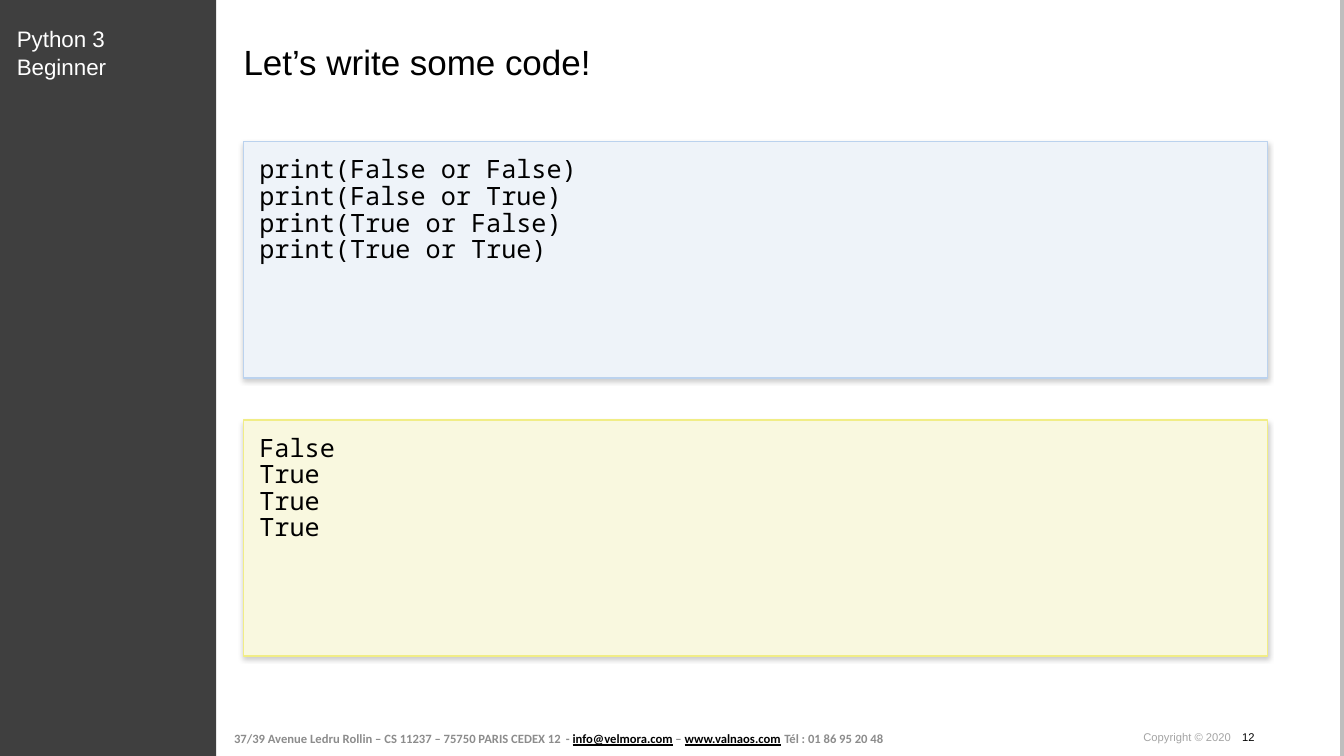
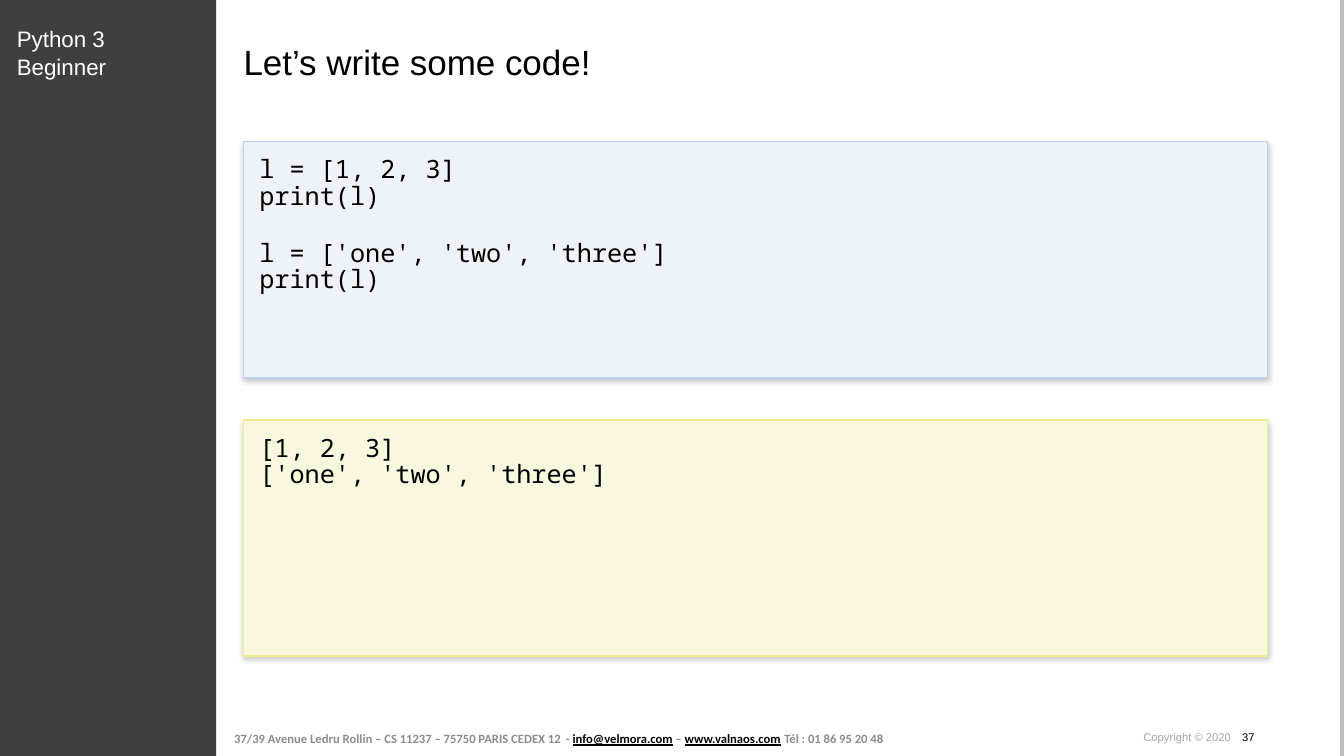
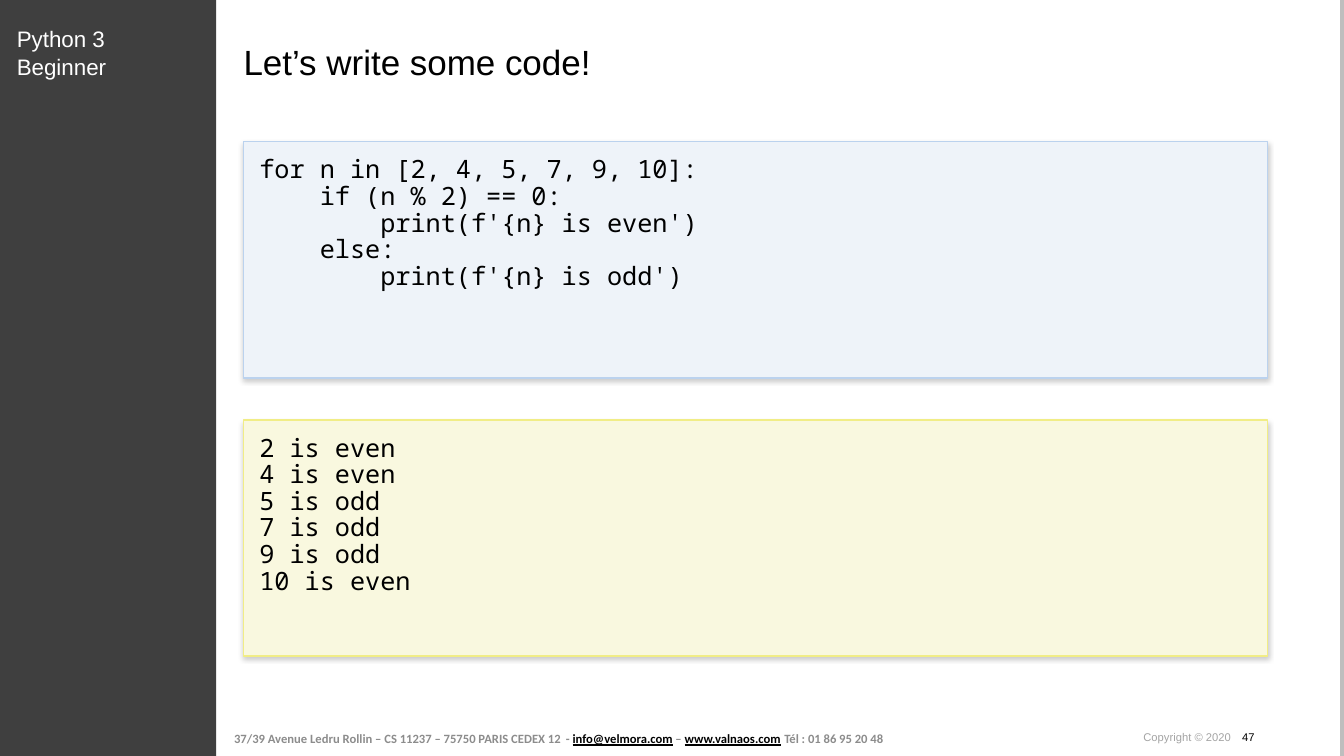
from collections import namedtuple
from dataclasses import dataclass

from lxml import etree
from pptx import Presentation
from pptx.dml.color import RGBColor
from pptx.enum.shapes import MSO_CONNECTOR, MSO_SHAPE
from pptx.enum.text import MSO_ANCHOR
from pptx.oxml.ns import qn
from pptx.util import Pt

RECTANGLE = MSO_SHAPE.RECTANGLE
STRAIGHT = MSO_CONNECTOR.STRAIGHT
TOP, MIDDLE = MSO_ANCHOR.TOP, MSO_ANCHOR.MIDDLE
EMU_PER_PX = 9525
SLIDE_WIDTH, SLIDE_HEIGHT = 1280, 720

Box = namedtuple("Box", "left top width height")


@dataclass(frozen=True)
class Theme:
    ink: str = "000000"
    paper: str = "FFFFFF"
    sidebar: str = "3F3F3F"
    edge: str = "BEBEBE"
    address: str = "8C8C8C"
    copyright: str = "A4A4A4"
    code_fill: str = "EEF3F9"
    code_line: str = "BBD2EE"
    output_fill: str = "F9F8DF"
    output_line: str = "F1ED86"
    body_font: str = "Arial"
    address_font: str = "Calibri"
    code_font: str = "Noto Sans Mono"
    title_size: float = 25
    code_size: float = 18
    course_size: float = 16
    address_size: float = 9
    copyright_size: float = 8
    code_spacing: float = 0.88
    code_gap: float = 21.5
    course_spacing: float = 1.05
    edge_width: float = 3.34
    panel_line_width: float = 1


THEME = Theme()

SIDEBAR = Box(0, 0, 206, SLIDE_HEIGHT)
COURSE = Box(16, 23, 120, 52)
TITLE = Box(232, 39, 966, 40)
CODE = Box(232, 135, 975, 225)
OUTPUT = CODE._replace(top=400)
ADDRESS = Box(216, 688, 641, 31)
COPYRIGHT = Box(1089, 696, 165, 12)
EDGE_X = 1278
PANEL_INSET = 15

EXERCISES = [
    (12,
     """print(False or False)
print(False or True)
print(True or False)
print(True or True)""",
     """False
True
True
True"""),
    (37,
     """l = [1, 2, 3]
print(l)

l = ['one', 'two', 'three']
print(l)""",
     """[1, 2, 3]
['one', 'two', 'three']"""),
    (47,
     """for n in [2, 4, 5, 7, 9, 10]:
    if (n % 2) == 0:
        print(f'{n} is even')
    else:
        print(f'{n} is odd')""",
     """2 is even
4 is even
5 is odd
7 is odd
9 is odd
10 is even"""),
]


def px(*lengths):
    return [length * EMU_PER_PX for length in lengths]


def color(code):
    return RGBColor.from_string(code)


def style(font, name, size, ink, bold=False):
    font.name, font.size, font.bold = name, Pt(size), bold
    font.color.rgb = color(ink)


def set_frame(frame, inset_x=0, inset_y=0, anchor=TOP):
    frame.word_wrap = True
    frame.vertical_anchor = anchor
    frame.margin_left, frame.margin_right = px(inset_x, inset_x)
    frame.margin_top, frame.margin_bottom = px(inset_y, inset_y)


def add_text(slide, box, inset_x=0, inset_y=0, anchor=TOP):
    """Add a text box and return its first paragraph."""
    frame = slide.shapes.add_textbox(*px(*box)).text_frame
    set_frame(frame, inset_x, inset_y, anchor)
    return frame.paragraphs[0]


def add_run(paragraph, text, ink, underline=False):
    run = paragraph.add_run()
    run.text = text
    run.font.color.rgb = color(ink)
    run.font.underline = underline


def set_tabs(paragraph, *positions):
    tabs = etree.SubElement(paragraph._p.get_or_add_pPr(), qn("a:tabLst"))
    for position in px(*positions):
        etree.SubElement(tabs, qn("a:tab"), pos=str(position), algn="l")


def add_soft_shadow(shape):
    effects = shape._element.spPr.find(qn("a:effectLst"))
    shadow = etree.SubElement(effects, qn("a:outerShdw"), blurRad=str(Pt(4)),
                              dist=str(Pt(1)), dir="5400000", rotWithShape="0")
    black = etree.SubElement(shadow, qn("a:srgbClr"), val=THEME.ink)
    etree.SubElement(black, qn("a:alpha"), val="20000")


def add_rectangle(slide, box, fill):
    shape = slide.shapes.add_shape(RECTANGLE, *px(*box))
    shape.shadow.inherit = False
    shape.fill.solid()
    shape.fill.fore_color.rgb = color(fill)
    shape.line.fill.background()
    return shape


def draw_edge(slide, x):
    edge = slide.shapes.add_connector(STRAIGHT, *px(x, 0, x, SLIDE_HEIGHT))
    edge.line.color.rgb = color(THEME.edge)
    edge.line.width = Pt(THEME.edge_width)
    etree.SubElement(edge._element.spPr, qn("a:effectLst"))


def draw_sidebar(slide, box):
    add_rectangle(slide, box, THEME.sidebar)
    course = add_text(slide, COURSE._replace(left=box.left + COURSE.left,
                                             top=box.top + COURSE.top))
    course.text = "Python 3 Beginner"
    course.line_spacing = THEME.course_spacing
    style(course.font, THEME.body_font, THEME.course_size, THEME.paper)


def draw_address(slide, box):
    address = add_text(slide, box, 7, 4, MIDDLE)
    set_tabs(address, 316, 524)
    style(address.font, THEME.address_font, THEME.address_size, THEME.address, bold=True)
    add_run(address, "37/39 Avenue Ledru Rollin – CS 11237 – 75750 PARIS CEDEX 12\t- ",
            THEME.address)
    add_run(address, "info@velmora.com", THEME.ink, underline=True)
    add_run(address, " – ", THEME.address)
    add_run(address, "www.valnaos.com", THEME.ink, underline=True)
    add_run(address, "\tTél : 01 86 95 20 48", THEME.address)


def draw_copyright(slide, box, page):
    notice = add_text(slide, box)
    set_tabs(notice, 94)
    style(notice.font, THEME.body_font, THEME.copyright_size, THEME.copyright)
    add_run(notice, "Copyright © 2020\t", THEME.copyright)
    add_run(notice, str(page), THEME.ink)


def draw_title(slide, box, text):
    title = add_text(slide, box)
    title.text = text
    style(title.font, THEME.body_font, THEME.title_size, THEME.ink)


def draw_listing(slide, box, listing, fill, line):
    """Draw a shadowed panel of monospaced lines; an empty line becomes a gap."""
    panel = add_rectangle(slide, box, fill)
    panel.line.color.rgb = color(line)
    panel.line.width = Pt(THEME.panel_line_width)
    add_soft_shadow(panel)
    frame = panel.text_frame
    set_frame(frame, PANEL_INSET, PANEL_INSET)
    frame.text = listing.replace("\n\n", "\n")
    block_starts = {block.split("\n")[0] for block in listing.split("\n\n")[1:]}
    for paragraph in frame.paragraphs:
        paragraph.alignment = 1
        paragraph.line_spacing = THEME.code_spacing
        if paragraph.text in block_starts:
            paragraph.space_before = Pt(THEME.code_gap)
        style(paragraph.font, THEME.code_font, THEME.code_size, THEME.ink)


def build_exercise(slide, page, code, output):
    draw_edge(slide, EDGE_X)
    draw_sidebar(slide, SIDEBAR)
    draw_address(slide, ADDRESS)
    draw_title(slide, TITLE, "Let’s write some code!")
    draw_listing(slide, CODE, code, THEME.code_fill, THEME.code_line)
    draw_listing(slide, OUTPUT, output, THEME.output_fill, THEME.output_line)
    draw_copyright(slide, COPYRIGHT, page)


def main():
    deck = Presentation()
    deck.slide_width, deck.slide_height = px(SLIDE_WIDTH, SLIDE_HEIGHT)
    blank = deck.slide_layouts[6]
    for page, code, output in EXERCISES:
        build_exercise(deck.slides.add_slide(blank), page, code, output)
    deck.save("out.pptx")


if __name__ == "__main__":
    main()
